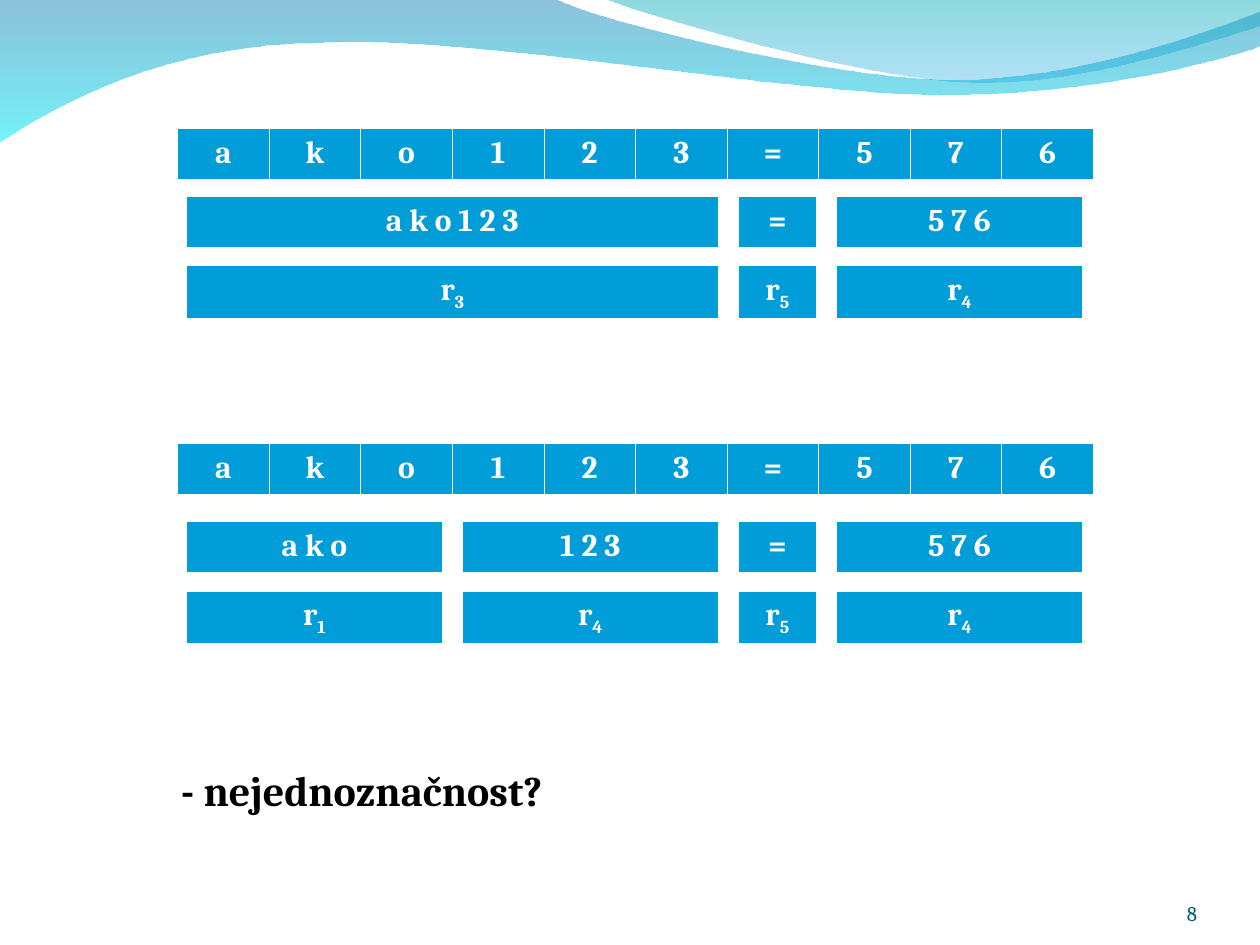
from lxml import etree
from pptx import Presentation
from pptx.dml.color import RGBColor
from pptx.enum.text import MSO_ANCHOR, MSO_AUTO_SIZE, PP_ALIGN
from pptx.oxml.ns import qn
from pptx.util import Inches, Pt

CENTER, LEFT, RIGHT = PP_ALIGN.CENTER, PP_ALIGN.LEFT, PP_ALIGN.RIGHT
TOP, BOTTOM = MSO_ANCHOR.TOP, MSO_ANCHOR.BOTTOM
FIXED, GROW = MSO_AUTO_SIZE.NONE, MSO_AUTO_SIZE.SHAPE_TO_FIT_TEXT
FONT = "Cambria"
WHITE, BLUE = "FFFFFF", "009DD9"
BORDERS = (("a:lnL", 0.45), ("a:lnR", 0.45), ("a:lnT", 0.45), ("a:lnB", 1.47))

CHARACTERS = "ako123=576"
CHARACTER_LEFT, CHARACTERS_WIDTH = 1.41, 7.27
TOKEN_LEFT, TOKEN_GAP = 1.48, 0.16
ROW_HEIGHT, RULE_OFFSET = 0.41, 0.55

# Each reading: top of characters, top of tokens, (token, rule number, width)
READINGS = (
    (1.02, 1.56, (("a k o 1 2 3", "3", 4.22), ("=", "5", 0.62),
                  ("5 7 6", "4", 1.95))),
    (3.52, 4.14, (("a k o", "1", 2.03), ("1 2 3", "4", 2.03),
                  ("=", "5", 0.62), ("5 7 6", "4", 1.95))),
)

# Each wave: start point, then lines (one point) and curves (three points)
LARGE_WAVE = ((0, -0.01), (
    ((4.4, -0.01),),
    ((4.76, 0.17), (6.64, 0.63), (7.58, 0.63)),
    ((8.53, 0.63), (9.58, 0.26), (10, 0.09)),
    ((10.01, 0.36),),
    ((9.83, 0.44), (8.7, 0.76), (7.46, 0.75)),
    ((6.22, 0.75), (3.82, 0.28), (2.57, 0.34)),
    ((1.29, 0.35), (0.46, 0.83), (-0.01, 1.13)),
    ((0, -0.01),),
))
SMALL_WAVE = ((4.79, -0.01), (
    ((5.09, 0.11), (6.82, 0.62), (7.69, 0.65)),
    ((8.56, 0.69), (9.61, 0.32), (10, 0.21)),
    ((10, 0),),
    ((4.79, -0.01),),
))


def color(hex_string):
    return RGBColor.from_string(hex_string)


def bend_segments(wave, segments):
    """Join each run of three line points into one Bezier curve."""
    lines = iter(list(wave._element.iter(qn("a:lnTo"))))
    for segment in segments:
        parts = [next(lines) for _ in segment]
        if len(parts) == 3:
            curve = etree.Element(qn("a:cubicBezTo"))
            parts[0].addprevious(curve)
            for part in parts:
                curve.append(part[0])
                part.getparent().remove(part)


def add_wave(page, outline, stops):
    start, segments = outline
    points = [(Inches(x), Inches(y)) for segment in segments for x, y in segment]
    builder = page.shapes.build_freeform(Inches(start[0]), Inches(start[1]))
    builder.add_line_segments(points, close=True)
    wave = builder.convert_to_shape()
    bend_segments(wave, segments)
    wave.shadow.inherit = False
    wave.line.fill.background()
    wave.fill.gradient()
    wave.fill.gradient_angle = 270
    for stop, (hex_string, _) in zip(wave.fill.gradient_stops, stops):
        stop.color.rgb = color(hex_string)
    # Opacity of each stop
    colors = wave._element.spPr.iter(qn("a:srgbClr"))
    for element, (_, opacity) in zip(colors, stops):
        etree.SubElement(element, qn("a:alpha"), val=str(opacity * 1000))


def format_span(span, size, hex_string, bold):
    span.font.name = FONT
    span.font.size = Pt(size)
    span.font.bold = bold
    span.font.color.rgb = color(hex_string)


def add_borders(cell):
    properties = cell._tc.get_or_add_tcPr()
    for index, (tag, width) in enumerate(BORDERS):
        line = etree.Element(qn(tag), w=str(int(Pt(width))))
        fill = etree.SubElement(line, qn("a:solidFill"))
        etree.SubElement(fill, qn("a:srgbClr"), val=WHITE)
        properties.insert(index, line)


def add_row(page, left, top, width, texts, subscript=None):
    frame = page.shapes.add_table(
        1, len(texts), Inches(left), Inches(top), Inches(width),
        Inches(ROW_HEIGHT))
    table = frame.table
    table.first_row = table.horz_banding = False
    for cell, text in zip(table.iter_cells(), texts):
        cell.fill.solid()
        cell.fill.fore_color.rgb = color(BLUE)
        add_borders(cell)
        para = cell.text_frame.paragraphs[0]
        para.text = text
        para.alignment = CENTER
        if subscript:
            span = para.add_run()
            span.text = subscript
            span._r.get_or_add_rPr().set("baseline", "-25000")
        for span in para.runs:
            format_span(span, 18, WHITE, True)


def add_reading(page, character_top, token_top, tokens):
    add_row(page, CHARACTER_LEFT, character_top, CHARACTERS_WIDTH, CHARACTERS)
    left = TOKEN_LEFT
    for token, rule, width in tokens:
        add_row(page, left, token_top, width, [token])
        add_row(page, left, token_top + RULE_OFFSET, width, ["r"], rule)
        left += width + TOKEN_GAP


def add_text(page, area, text, size, hex_string, bold=False, alignment=LEFT,
             anchor=TOP, margins=(0.1, 0.05), wrap=False, fit=GROW):
    box = page.shapes.add_textbox(*(Inches(length) for length in area))
    frame = box.text_frame
    frame.word_wrap = wrap
    frame.auto_size = fit
    frame.vertical_anchor = anchor
    frame.margin_left = frame.margin_right = Inches(margins[0])
    frame.margin_top = frame.margin_bottom = Inches(margins[1])
    frame.text = text
    para = frame.paragraphs[0]
    para.alignment = alignment
    format_span(para.runs[0], size, hex_string, bold)


def main():
    deck = Presentation()
    deck.slide_width, deck.slide_height = Inches(10), Inches(7.5)
    page = deck.slides.add_slide(deck.slide_layouts[6])

    # Header waves
    add_wave(page, LARGE_WAVE, (("0079AF", 45), ("00EBF8", 55)))
    add_wave(page, SMALL_WAVE, (("00ADB6", 45), ("009BE5", 30)))

    # Two ways to split the same characters into tokens
    for reading in READINGS:
        add_reading(page, *reading)

    # Question and page number
    add_text(page, (1.34, 6.02, 3.43, 0.5), "- nejednoznačnost?", 24, "000000",
             bold=True)
    add_text(page, (8.67, 6.95, 0.83, 0.4), "8", 12, "045C75", alignment=RIGHT,
             anchor=BOTTOM, margins=(0, 0), wrap=True, fit=FIXED)

    deck.save("out.pptx")


if __name__ == "__main__":
    main()
